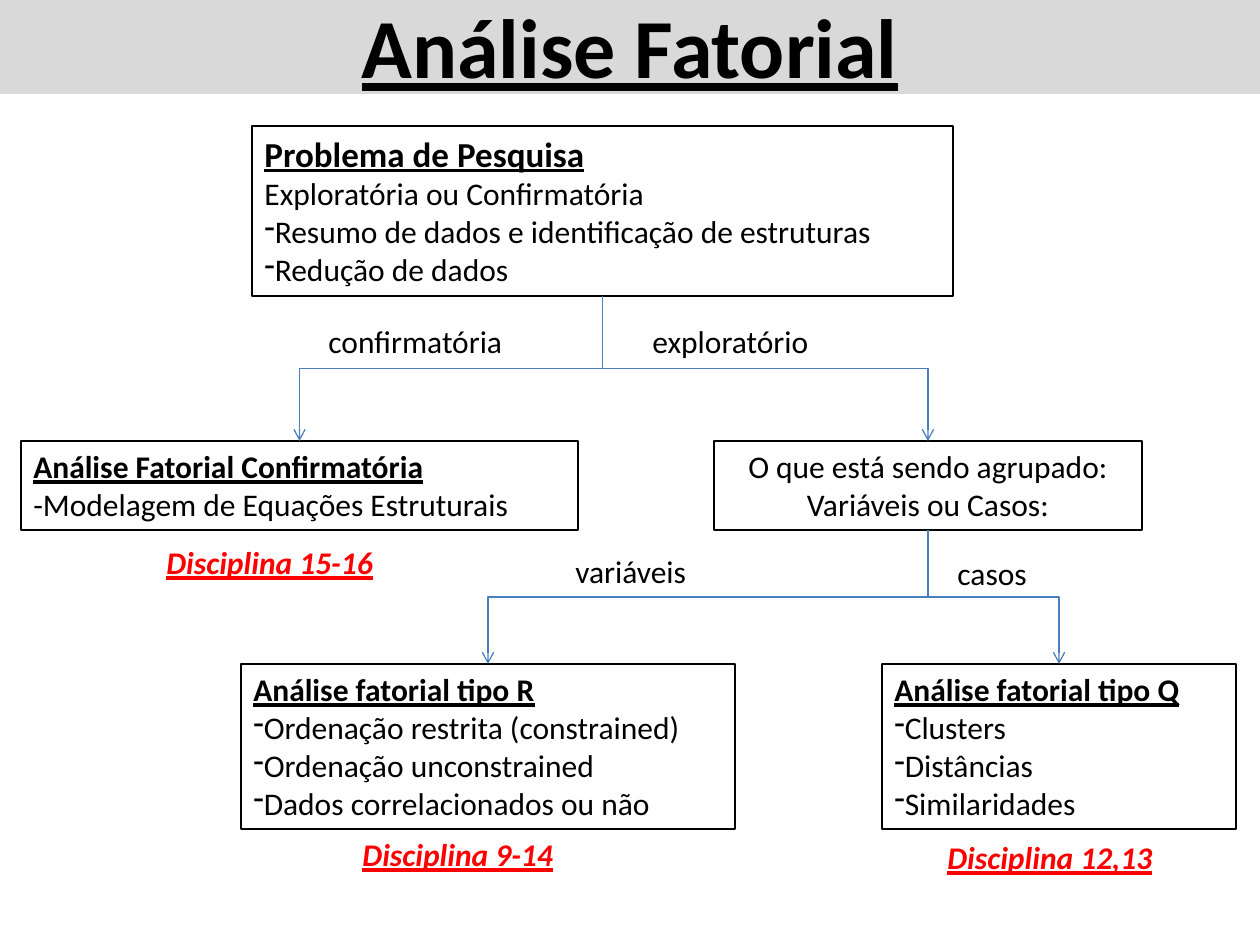
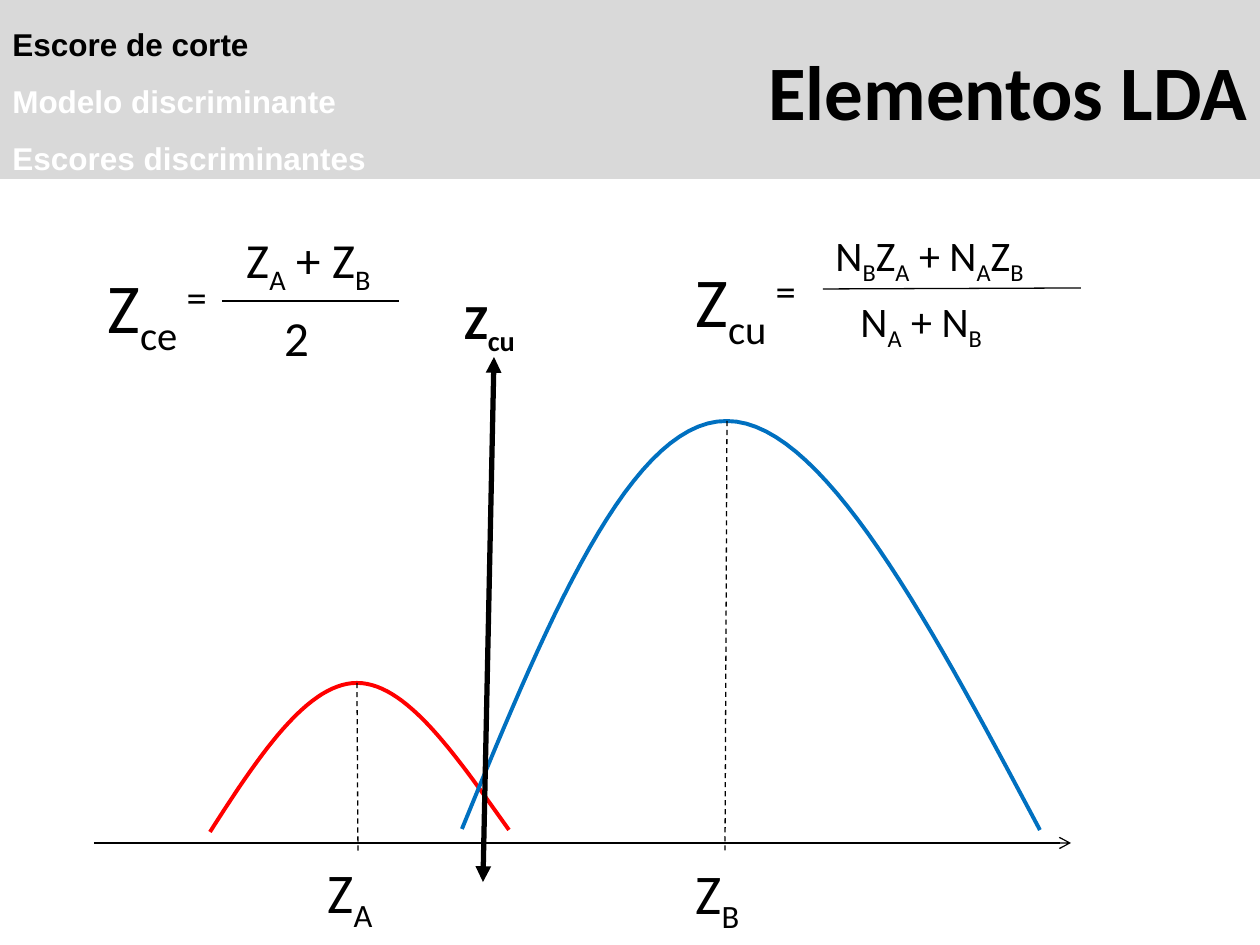
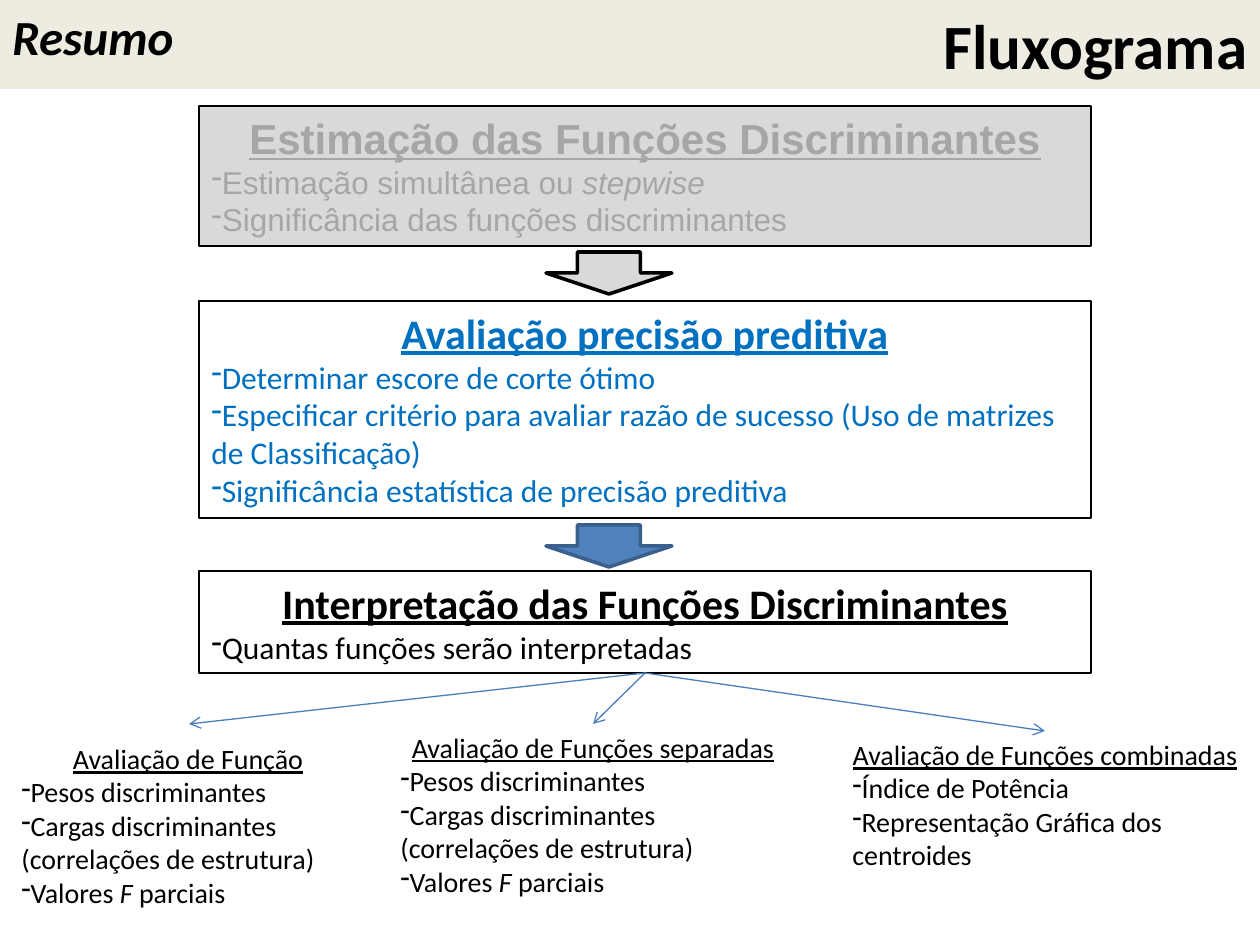
from pptx import Presentation
from pptx import util as u
from pptx.dml.color import RGBColor
from pptx.enum import dml, shapes, text
from pptx.oxml.ns import qn
from lxml import etree

PX_PER_INCH = 126
SLIDE_W, SLIDE_H = 1260, 945
BLACK, WHITE, RED, BLUE = "000000", "FFFFFF", "FF0000", "0070C0"
GREY, FADED, CREAM, LINK = "D9D9D9", "A6A6A6", "EEECE1", "4B7EBC"
LEFT, CENTER, RIGHT = text.PP_ALIGN.LEFT, text.PP_ALIGN.CENTER, text.PP_ALIGN.RIGHT

# ---- Content: "# " starts a heading, "- " a bullet; every second piece
# between bars is set apart (italic, or a subscript in formulas).
FACTOR_BOXES = {
    "problem": ((252, 126, 701, 170), [
        "# Problema de Pesquisa", "Exploratória ou Confirmatória",
        "- Resumo de dados e identificação de estruturas", "- Redução de dados"],
        dict(heading_size=20)),
    "confirmatory": ((21, 441, 557, 89), [
        "# Análise Fatorial Confirmatória", "-Modelagem de Equações Estruturais"], {}),
    "grouping": ((714, 441, 428, 89), [
        "O que está sendo agrupado:", "Variáveis ou Casos:"], dict(align=CENTER)),
    "type R": ((241, 664, 494, 165), [
        "# Análise fatorial tipo R", "- Ordenação restrita (constrained)",
        "- Ordenação unconstrained", "- Dados correlacionados ou não"], {}),
    "type Q": ((882, 664, 354, 165), [
        "# Análise fatorial tipo Q", "- Clusters", "- Distâncias", "- Similaridades"], {}),
}
FACTOR_LINKS = [("problem", "confirmatory"), ("problem", "grouping"),
                ("grouping", "type R"), ("grouping", "type Q")]
BRANCH_LABELS = [
    ("confirmatória", (316, 316, 209, 50)), ("exploratório", (640, 316, 192, 50)),
    ("variáveis", (563, 546, 151, 50)), ("casos", (945, 548, 108, 50))]
COURSE_LABELS = [
    ("Disciplina 15-16", (154, 537, 266, 50)),
    ("Disciplina 12,13", (935, 832, 265, 50)),
    ("Disciplina 9-14", (350, 829, 248, 50))]

LDA_STEPS = [("Escore de corte", BLACK), ("Modelo discriminante", WHITE),
             ("Escores discriminantes", WHITE)]
FORMULAS = [  # text, place, size, bold
    ("Z|A", (315, 851, 86, 81), 32, False),
    ("Z|B", (683, 852, 86, 81), 32, False),
    ("Z|cu", (452, 284, 95, 72), 28, True),
    ("Z|cu|^ =", (683, 251, 212, 97), 40, False),
    ("N|B|Z|A| + N|A|Z|B", (823, 223, 261, 63), 24, False),
    ("N|A| + N|B", (848, 289, 194, 63), 24, False),
    ("Z|ce|^ =", (95, 257, 192, 97), 40, False),
    ("Z|A| + Z|B", (234, 223, 185, 72), 28, False),
    ("2", (272, 301, 81, 72), 28, False)]
CURVES = [  # colour, start and control points of two cubic arcs
    (RED, [(210, 832), (258, 757), (307, 683), (357, 683),
           (407, 683), (457, 757), (509, 830)]),
    (BLUE, [(462, 829), (546, 624), (630, 420), (727, 421),
            (823, 421), (931, 625), (1040, 830)])]
MEAN_LINES = [((727, 421), (725, 852)), ((357, 683), (358, 851))]
FRACTION_BARS = [((823, 289), (1081, 288)), ((222, 301), (399, 301))]

STAGE_LEFT, STAGE_W = 199, 892
STAGES = [  # top, height, fill, text colour, font, lines
    (106, 140, GREY, FADED, "Arial", [
        "# Estimação das Funções Discriminantes",
        "- Estimação simultânea ou |stepwise",
        "- Significância das funções discriminantes"]),
    (301, 217, None, BLUE, "Calibri", [
        "# Avaliação precisão preditiva", "- Determinar escore de corte ótimo",
        "- Especificar critério para avaliar razão de sucesso "
        "(Uso de matrizes de Classificação)",
        "- Significância estatística de precisão preditiva"]),
    (571, 102, None, BLACK, "Calibri", [
        "# Interpretação das Funções Discriminantes",
        "- Quantas funções serão interpretadas"])]
STAGE_ARROWS = [(252, GREY, BLACK), (525, "4F81BD", "3A5F8C")]
WEIGHTS = ["- Pesos discriminantes",
           "- Cargas discriminantes (correlações de estrutura)",
           "- Valores |F| parciais"]
OUTCOMES = [  # place, lines, arrow tip
    ((9, 735, 358, 183), ["# Avaliação de Função"] + WEIGHTS, (189, 724)),
    ((388, 724, 410, 217), ["# Avaliação de Funções separadas"] + WEIGHTS, (593, 724)),
    ((840, 731, 410, 183), ["# Avaliação de Funções combinadas", "- Índice de Potência",
                            "- Representação Gráfica dos centroides"], (1045, 731))]


# ---- Helpers
def px(length):
    return u.Emu(round(length * 914400 / PX_PER_INCH))


def emu(values):
    return [px(value) for value in values]


def rgb(color):
    return RGBColor.from_string(color)


def paint(shape, fill=None, line=None, width=0.75):
    shape.shadow.inherit = False
    if fill:
        shape.fill.solid()
        shape.fill.fore_color.rgb = rgb(fill)
    else:
        shape.fill.background()
    if line:
        shape.line.color.rgb = rgb(line)
        shape.line.width = u.Pt(width)
    else:
        shape.line.fill.background()


def add_runs(para, line, subscripts, italic):
    for index, piece in enumerate(line.split("|")):
        span = para.add_run()
        span.text = piece.removeprefix("^")
        if piece.startswith("^"):
            span._r.get_or_add_rPr().set("baseline", "30000")
        elif index % 2 and subscripts:
            span._r.get_or_add_rPr().set("baseline", "-25000")
        elif index % 2 or italic:
            span.font.italic = True


def add_text(slide, place, lines, size=18, color=BLACK, font="Calibri", align=LEFT,
             bold=False, italic=False, underline=False, fill=None, line=None,
             heading_size=None, heading_align=LEFT, heading_bold=True,
             wrap=False, grow=True, spacing=None, subscripts=False):
    """Add a box of text; it is a rectangle if it has a fill or an outline."""
    if fill or line:
        box = slide.shapes.add_shape(shapes.MSO_SHAPE.RECTANGLE, *emu(place))
        paint(box, fill, line)
    else:
        box = slide.shapes.add_textbox(*emu(place))
    frame = box.text_frame
    frame.word_wrap = wrap
    frame.vertical_anchor = text.MSO_ANCHOR.TOP
    if grow:
        frame.auto_size = text.MSO_AUTO_SIZE.SHAPE_TO_FIT_TEXT
    for index, content in enumerate(lines):
        para = frame.paragraphs[0] if index == 0 else frame.add_paragraph()
        heading, bullet = content.startswith("# "), content.startswith("- ")
        para.alignment = heading_align if heading else align
        if spacing:
            para.line_spacing = spacing
        if bullet:
            props = para._p.get_or_add_pPr()
            props.set("marL", "0")
            props.set("indent", "0")
            etree.SubElement(props, qn("a:buFontTx"))
            etree.SubElement(props, qn("a:buChar")).set("char", "-")
        para.font.name = font
        para.font.size = u.Pt(heading_size or size if heading else size)
        para.font.color.rgb = rgb(color[index] if isinstance(color, list) else color)
        para.font.bold = heading_bold if heading else bold
        para.font.underline = heading or underline
        add_runs(para, content[2:] if heading or bullet else content, subscripts, italic)
    return box


def add_band(slide, title, height, size, fill=GREY, align=RIGHT, **style):
    return add_text(slide, (0, 0, SLIDE_W, height), [title], size=size, fill=fill,
                    align=align, bold=True, wrap=True, grow=False, **style)


def add_line(slide, start, end, color=BLACK, width=0.75, head=None, tail=None,
             dashed=False, kind=shapes.MSO_CONNECTOR.STRAIGHT):
    link = slide.shapes.add_connector(kind, *emu(start + end))
    link.line.color.rgb = rgb(color)
    link.line.width = u.Pt(width)
    if dashed:
        link.line.dash_style = dml.MSO_LINE.DASH
    outline = link.line._get_or_add_ln()
    for tag, arrow in (("a:headEnd", head), ("a:tailEnd", tail)):
        if arrow:
            etree.SubElement(outline, qn(tag)).set("type", arrow)
    etree.SubElement(link._element.spPr, qn("a:effectLst"))
    return link


def add_elbow(slide, source, target):
    """Go down, across and down: a sideways elbow turned a quarter."""
    x1, y1 = source[0] + source[2] / 2, source[1] + source[3]
    x2, y2 = target[0] + target[2] / 2, target[1]
    mid_x, mid_y = (x1 + x2) / 2, (y1 + y2) / 2
    half_w, half_h = (y2 - y1) / 2, abs(x2 - x1) / 2
    link = add_line(slide, (mid_x - half_w, mid_y - half_h),
                    (mid_x + half_w, mid_y + half_h), LINK, tail="arrow",
                    kind=shapes.MSO_CONNECTOR.ELBOW)
    frame = link._element.spPr.find(qn("a:xfrm"))
    frame.set("rot", str((90 if x2 < x1 else 270) * 60000))
    if x2 > x1:
        frame.set("flipH", "1")


def cubic(points, t):
    weights = ((1 - t) ** 3, 3 * t * (1 - t) ** 2, 3 * t * t * (1 - t), t ** 3)
    return tuple(sum(w * point[axis] for w, point in zip(weights, points))
                 for axis in (0, 1))


def add_curve(slide, color, points, steps=30):
    path_points = [cubic(points[first:first + 4], step / steps)
                   for first in (0, 3) for step in range(1, steps + 1)]
    builder = slide.shapes.build_freeform(*emu(points[0]), scale=1.0)
    builder.add_line_segments([emu(point) for point in path_points], close=False)
    paint(builder.convert_to_shape(), line=color, width=2.25)


# ---- Slides
def build_factor_analysis(slide):
    add_band(slide, "Análise Fatorial", 94, 48, align=CENTER, underline=True, spacing=0.9)
    for place, lines, style in FACTOR_BOXES.values():
        add_text(slide, place, lines, line=BLACK, **style)
    for source, target in FACTOR_LINKS:
        add_elbow(slide, FACTOR_BOXES[source][0], FACTOR_BOXES[target][0])
    for label, place in BRANCH_LABELS:
        add_text(slide, place, [label])
    for label, place in COURSE_LABELS:
        add_text(slide, place, [label], color=RED, bold=True, italic=True, underline=True)


def build_cutting_score(slide):
    add_line(slide, (94, 843), (1071, 843), tail="arrow")
    for color, points in CURVES:
        add_curve(slide, color, points)
    for start, end in MEAN_LINES:
        add_line(slide, start, end, dashed=True)
    add_line(slide, (483, 882), (494, 357), width=3, head="triangle", tail="triangle")
    for formula, place, size, bold in FORMULAS:
        add_text(slide, place, [formula], size=size, bold=bold, subscripts=True)
    for start, end in FRACTION_BARS:
        add_line(slide, start, end)
    band = add_band(slide, "Elementos LDA", 179, 44)
    band.text_frame.vertical_anchor = text.MSO_ANCHOR.MIDDLE
    steps, colors = zip(*LDA_STEPS)
    add_text(slide, (0, 0, 630, 184), steps, color=list(colors), font="Arial",
             bold=True, wrap=True, spacing=1.5)


def build_flowchart(slide):
    add_band(slide, "Fluxograma", 89, 36, fill=CREAM)
    add_text(slide, (0, 0, 252, 72), ["Resumo"], size=28, bold=True, italic=True, wrap=True)
    for top, height, fill, color, font, lines in STAGES:
        add_text(slide, (STAGE_LEFT, top, STAGE_W, height), lines, color=color, font=font,
                 fill=fill, line=BLACK, heading_size=24, heading_align=CENTER, wrap=True)
    for top, fill, line in STAGE_ARROWS:
        arrow = slide.shapes.add_shape(shapes.MSO_SHAPE.DOWN_ARROW,
                                       *emu((546, top, 126, 42)))
        paint(arrow, fill, line, 2)
    last_top, last_height = STAGES[-1][:2]
    fork = (STAGE_LEFT + STAGE_W // 2, last_top + last_height)
    for place, lines, tip in OUTCOMES:
        add_text(slide, place, lines, size=16, heading_align=CENTER,
                 heading_bold=False, wrap=True)
        add_line(slide, fork, tip, LINK, tail="arrow")


def main():
    deck = Presentation()
    deck.slide_width, deck.slide_height = px(SLIDE_W), px(SLIDE_H)
    for build in (build_factor_analysis, build_cutting_score, build_flowchart):
        build(deck.slides.add_slide(deck.slide_layouts[6]))
    deck.save("out.pptx")


if __name__ == "__main__":
    main()
